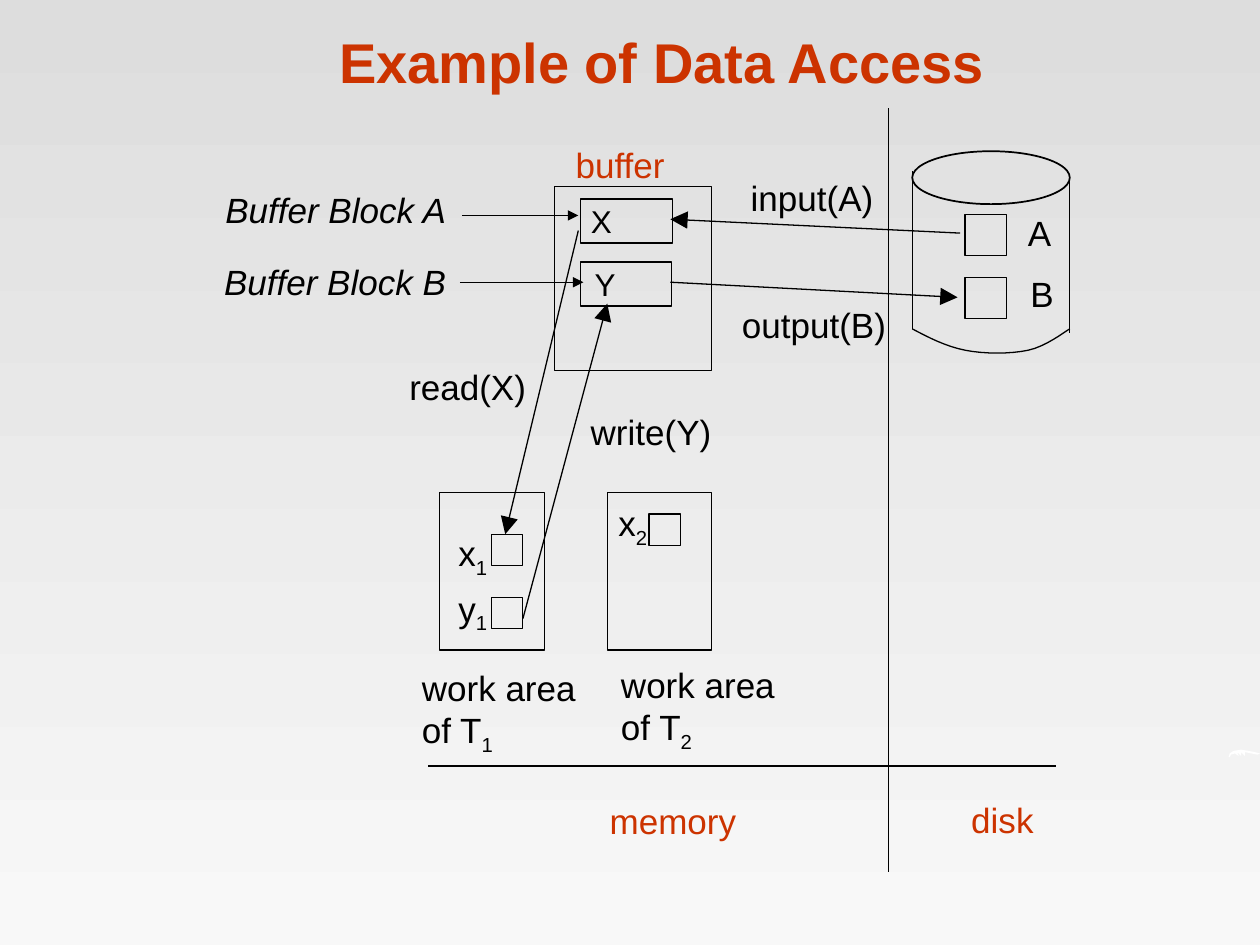
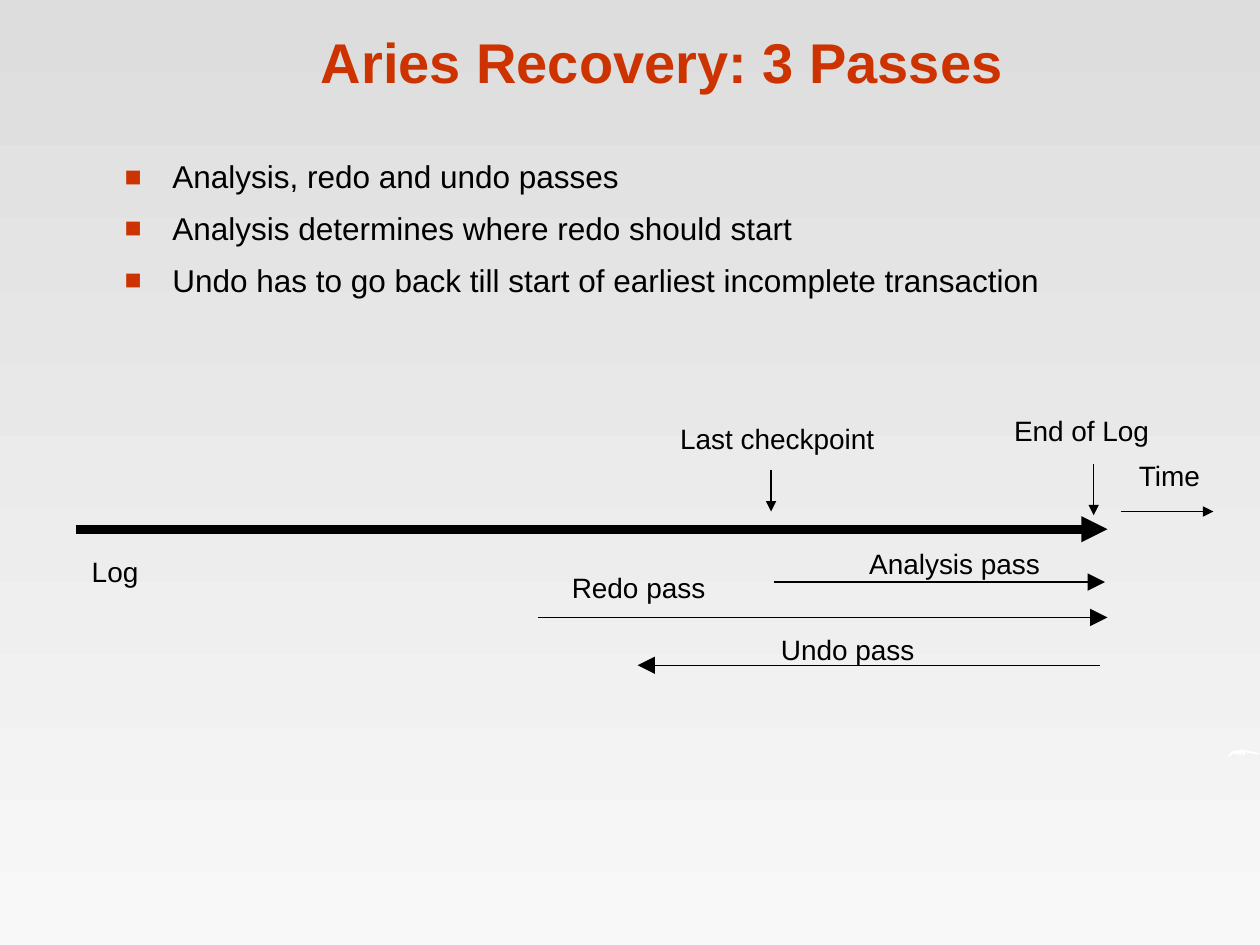
from lxml import etree
from pptx import Presentation
from pptx.dml.color import RGBColor
from pptx.enum import shapes, text
from pptx.oxml import ns
from pptx.util import Inches, Pt

FONT = "Arial"
ACCENT = "CC3300"
BLACK = "000000"
WHITE = "FFFFFF"
BACKGROUND = ("DDDDDD", "F8F8F8")
rgb = RGBColor.from_string


def write(paragraph, content, size, color=BLACK, **formats):
    """Add content to the paragraph; what follows an underscore is a subscript."""
    for position, part in enumerate(content.split("_")):
        run = paragraph.add_run()
        run.text = part
        for name, value in {"name": FONT, "size": Pt(size), **formats}.items():
            setattr(run.font, name, value)
        run.font.color.rgb = rgb(color)
        if position:
            run.font._element.set("baseline", "-25000")


def add_line(slide, x1, y1, x2, y2, head="med", width=0.75):
    """Draw a line with an arrowhead of size head, or a plain line if head is None."""
    line = slide.shapes.add_connector(
        shapes.MSO_CONNECTOR.STRAIGHT, Inches(x1), Inches(y1), Inches(x2), Inches(y2))
    line.line.color.rgb = rgb(BLACK)
    line.line.width = Pt(width)
    if head:
        etree.SubElement(line.line._get_or_add_ln(), ns.qn("a:tailEnd"),
                         type="triangle", w=head, len=head)
    etree.SubElement(line._element.spPr, ns.qn("a:effectLst"))


presentation = Presentation()
presentation.slide_width = Inches(10)
presentation.slide_height = Inches(7.5)

background = presentation.slide_master.background.fill
background.gradient()
background.gradient_angle = 270
for stop, position, color in zip(background.gradient_stops, (0, 1), BACKGROUND):
    stop.position = position
    stop.color.rgb = rgb(color)

# What both slides share: title and the small white swoosh at the right edge
swoosh_points = [
    (9.75, 6.01), (9.76, 5.98), (9.79, 5.96), (9.85, 5.95), (9.91, 5.96), (9.96, 5.97),
    (10, 5.98), (9.98, 5.99), (9.93, 5.98), (9.88, 5.97), (9.88, 6), (9.85, 5.97),
    (9.85, 6), (9.82, 5.97), (9.83, 6), (9.8, 5.98), (9.77, 5.99), (9.76, 6.01)]
slides = []
for heading in ("Example of Data Access", "Aries Recovery: 3 Passes"):
    slide = presentation.slides.add_slide(presentation.slide_layouts[5])
    title = slide.shapes.title
    title.left, title.top = Inches(0.84), Inches(0.13)
    title.width, title.height = Inches(8.83), Inches(0.67)
    title.text_frame.auto_size = text.MSO_AUTO_SIZE.NONE
    title.text_frame.vertical_anchor = text.MSO_ANCHOR.BOTTOM
    title.text_frame.paragraphs[0].alignment = text.PP_ALIGN.CENTER
    write(title.text_frame.paragraphs[0], heading, 32, ACCENT, bold=True)

    points = [(Inches(x), Inches(y)) for x, y in swoosh_points]
    builder = slide.shapes.build_freeform(*points[0])
    builder.add_line_segments(points[1:], close=True)
    swoosh = builder.convert_to_shape()
    swoosh.shadow.inherit = False
    swoosh.fill.solid()
    swoosh.fill.fore_color.rgb = rgb(WHITE)
    swoosh.line.fill.background()
    slides.append(slide)
access_slide, aries_slide = slides

# Data access: the buffer, the disk and the two work areas
outlines = [
    (4.4, 1.48, 1.25, 1.46),
    *[(7.66, top, 0.33, 0.33) for top in (1.7, 2.2)],
    *[(left, 3.91, 0.83, 1.25) for left in (3.49, 4.82)],
    *[(left, top, 0.25, 0.25) for left, top in ((5.15, 4.08), (3.9, 4.24), (3.9, 4.74))]]
drawn = [access_slide.shapes.add_shape(shapes.MSO_SHAPE.RECTANGLE, *map(Inches, box))
         for box in outlines]

for name, top, width, inset in (("X", 1.58, 0.73, 0.08), ("Y", 2.08, 0.72, 0.11)):
    block = access_slide.shapes.add_shape(
        shapes.MSO_SHAPE.RECTANGLE, Inches(4.61), Inches(top), Inches(width), Inches(0.35))
    block.text_frame.margin_left = Inches(inset)
    block.text_frame.vertical_anchor = text.MSO_ANCHOR.MIDDLE
    block.text_frame.paragraphs[0].alignment = text.PP_ALIGN.LEFT
    write(block.text_frame.paragraphs[0], name, 18)
    drawn.append(block)

disk_top = access_slide.shapes.add_shape(
    shapes.MSO_SHAPE.OVAL, Inches(7.24), Inches(1.2), Inches(1.25), Inches(0.42))
drawn.append(disk_top)

disk_curves = [
    ((7.24, 2.61), (7.37, 2.68), (7.51, 2.75), (7.66, 2.78)),
    ((7.66, 2.78), (7.81, 2.81), (8.02, 2.81), (8.16, 2.78)),
    ((8.16, 2.78), (8.3, 2.75), (8.44, 2.64), (8.49, 2.61))]
steps = 8
rim = []
for curve in disk_curves:
    for step in range(steps + 1):
        t = step / steps
        weights = ((1 - t) ** 3, 3 * t * (1 - t) ** 2, 3 * t ** 2 * (1 - t), t ** 3)
        rim.append([Inches(sum(w * point[axis] for w, point in zip(weights, curve)))
                    for axis in (0, 1)])
builder = access_slide.shapes.build_freeform(*rim[0])
builder.add_line_segments(rim[1:], close=False)
drawn.append(builder.convert_to_shape())

for shape in drawn:
    shape.shadow.inherit = False
    shape.fill.background()
    shape.line.color.rgb = rgb(BLACK)
    shape.line.width = Pt(0.75)
disk_top.line.width = Pt(1)

for divider in ((7.24, 1.36, 7.24, 2.61), (8.49, 1.39, 8.49, 2.64),
                (3.4, 6.08, 8.38, 6.08), (7.05, 0.86, 7.05, 6.92)):
    add_line(access_slide, *divider, head=None)
for pointer in ((3.67, 1.71, 4.59, 1.71), (3.65, 2.24, 4.63, 2.24)):
    add_line(access_slide, *pointer)
for transfer in ((7.62, 1.85, 5.32, 1.74), (5.32, 2.24, 7.6, 2.36),
                 (4.59, 1.83, 4.01, 4.24), (4.15, 4.91, 4.82, 2.41)):
    add_line(access_slide, *transfer, head="lg")

# Aries: the log, its marks and the three passes
add_line(aries_slide, 0.6, 4.2, 8.79, 4.2, width=5)
for mark in ((8.9, 4.06, 9.63, 4.06), (6.12, 3.73, 6.12, 4.06), (8.68, 3.68, 8.68, 4.09)):
    add_line(aries_slide, *mark)
for recovery_pass in ((6.14, 4.62, 8.77, 4.62), (4.27, 4.9, 8.79, 4.9),
                      (8.73, 5.28, 5.06, 5.28)):
    add_line(aries_slide, *recovery_pass, head="lg")

body = aries_slide.shapes.add_textbox(Inches(0.89), Inches(1.2), Inches(8.38), Inches(1.93))
body.text_frame.word_wrap = True
for position, point in enumerate((
        "Analysis, redo and undo passes",
        "Analysis determines where redo should start",
        "Undo has to go back till start of earliest incomplete transaction")):
    paragraph = body.text_frame.add_paragraph() if position else body.text_frame.paragraphs[0]
    if position:
        paragraph.space_before = Pt(7.9)
    properties = paragraph._p.get_or_add_pPr()
    properties.set("marL", str(Inches(0.38)))
    properties.set("indent", str(-Inches(0.38)))
    bullet_color = etree.SubElement(properties, ns.qn("a:buClr"))
    etree.SubElement(bullet_color, ns.qn("a:srgbClr"), val=ACCENT)
    etree.SubElement(properties, ns.qn("a:buSzPct"), val="90000")
    etree.SubElement(properties, ns.qn("a:buFont"), typeface=FONT)
    etree.SubElement(properties, ns.qn("a:buChar"), char="■")
    write(paragraph, point, 18)

# Labels: content, left, top, width, height, formats
access_labels = [
    ("A", 8.06, 1.63, 0.38, 0.44, {}),
    ("B", 8.08, 2.11, 0.38, 0.44, {}),
    ("x_1", 3.54, 4.17, 0.43, 0.48, {}),
    ("y_1", 3.54, 4.61, 0.47, 0.48, {}),
    ("x_2", 4.81, 3.93, 0.43, 0.48, {}),
    ("buffer", 4.47, 1.09, 0.91, 0.44, {"color": ACCENT}),
    ("Buffer Block A", 1.69, 1.45, 2.04, 0.44, {"italic": True}),
    ("Buffer Block B", 1.68, 2.02, 1.96, 0.44, {"italic": True}),
    ("input(A)", 5.86, 1.35, 1.17, 0.44, {}),
    ("output(B)", 5.79, 2.36, 1.42, 0.44, {}),
    ("read(X)", 3.15, 2.85, 1.13, 0.44, {}),
    ("write(Y)", 4.59, 3.21, 1.16, 0.44, {}),
    ("work area\nof T_1", 3.25, 5.24, 1.5, 0.82, {}),
    ("work area\nof T_2", 4.83, 5.22, 1.42, 0.82, {}),
    ("memory", 4.74, 6.3, 1.2, 0.44, {"color": ACCENT}),
    ("disk", 7.61, 6.29, 0.69, 0.44, {"color": ACCENT})]
aries_labels = [
    ("Last checkpoint", 5.3, 3.3, 1.74, 0.37, {}),
    ("End of Log", 7.95, 3.23, 1.27, 0.37, {}),
    ("Time", 8.94, 3.59, 0.69, 0.37, {}),
    ("Log", 0.63, 4.35, 0.57, 0.37, {}),
    ("Analysis pass", 6.8, 4.29, 1.55, 0.37, {}),
    ("Redo pass", 4.44, 4.48, 1.26, 0.37, {}),
    ("Undo pass", 6.1, 4.97, 1.26, 0.37, {})]
for slide, labels, size in ((access_slide, access_labels, 20), (aries_slide, aries_labels, 16)):
    for content, *box, formats in labels:
        frame = slide.shapes.add_textbox(*map(Inches, box)).text_frame
        # No right margin, so that each row keeps to one line
        for name, value in {"word_wrap": True, "margin_right": 0,
                            "auto_size": text.MSO_AUTO_SIZE.NONE}.items():
            setattr(frame, name, value)
        for position, row in enumerate(content.split("\n")):
            paragraph = frame.add_paragraph() if position else frame.paragraphs[0]
            write(paragraph, row, size, **formats)

presentation.save("out.pptx")
